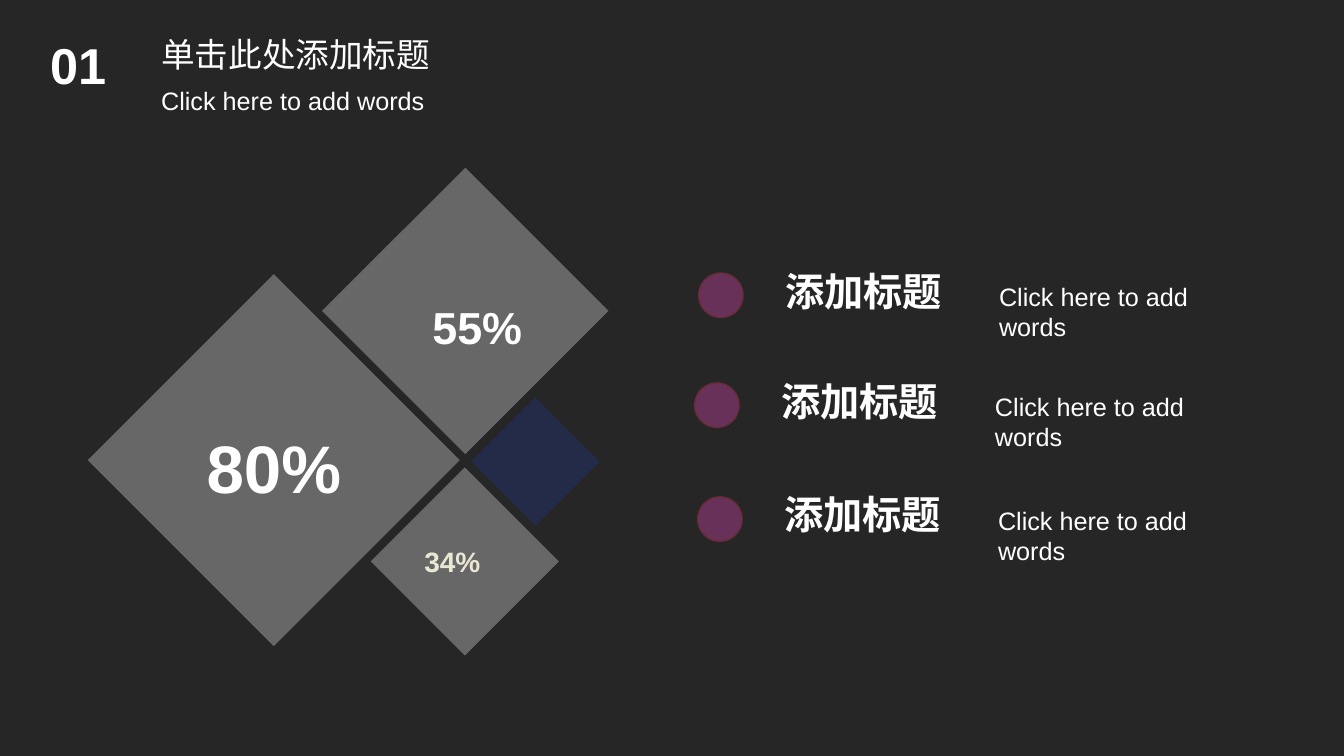
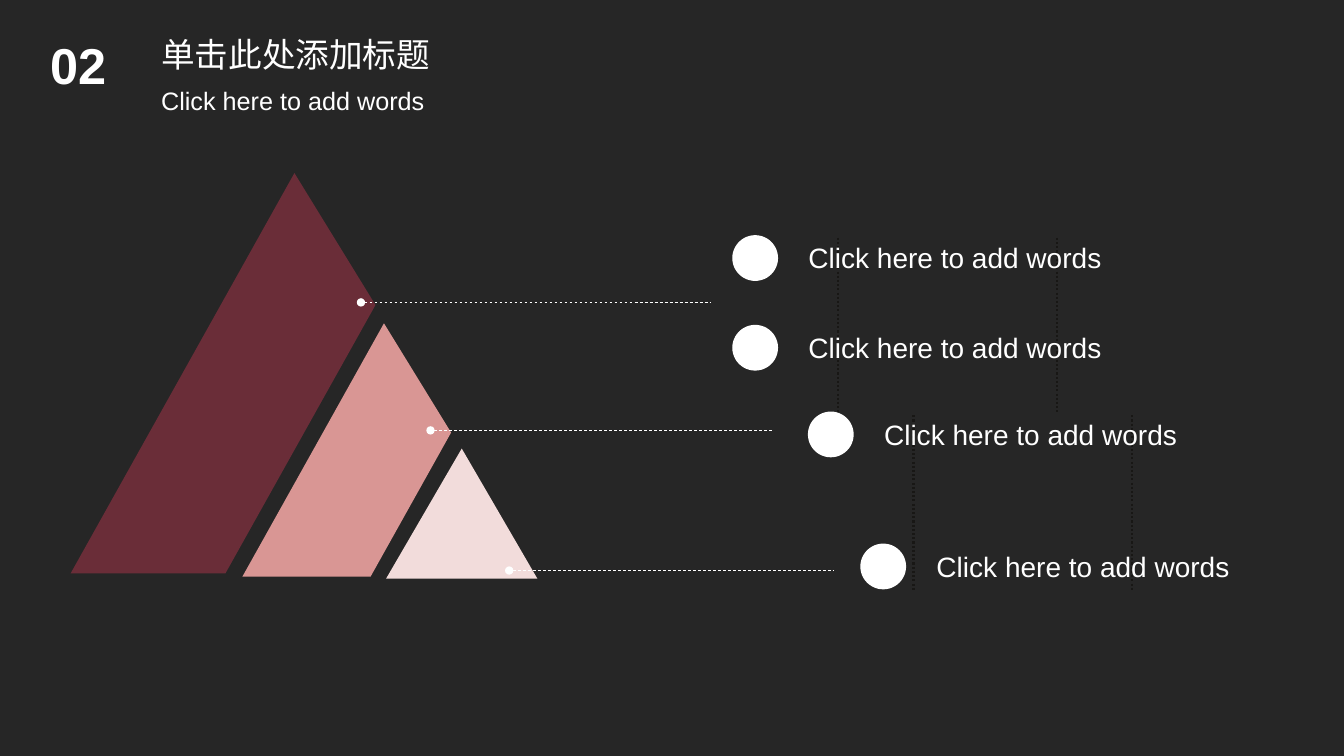
from dataclasses import dataclass

from pptx import Presentation
from pptx.dml.color import RGBColor
from pptx.enum import dml, shapes, text
from pptx.oxml import ns, xmlchemy
from pptx.util import Inches, Pt

TITLE_ONLY = 5
SHAPE = shapes.MSO_SHAPE
DASH = dml.MSO_LINE
WORDS = "Click here to add words"


@dataclass(frozen=True)
class Theme:
    font: str = "Arial"
    background: str = "262626"
    white: str = "FFFFFF"
    cream: str = "EAE7D4"
    navy: str = "1D379B"
    plum: str = "67315A"
    wine: str = "6A2D38"
    rose: str = "D99694"
    blush: str = "F2DCDB"
    guide: str = "181715"
    number: int = 36
    title: int = 24
    body: int = 18
    label: int = 20
    heading: int = 28
    dot: float = 0.44


def add_xml(parent, tag, **attributes):
    child = xmlchemy.OxmlElement(tag)
    for name, value in attributes.items():
        child.set(name, value)
    parent.append(child)


class Deck:
    def __init__(self, theme):
        self.theme = theme
        self.presentation = Presentation()
        self.presentation.slide_width = Inches(13.33)
        self.presentation.slide_height = Inches(7.5)
        self.slide = None
        fill = self.presentation.slide_master.background.fill
        fill.solid()
        fill.fore_color.rgb = RGBColor.from_string(theme.background)

    def start_slide(self, number, title, subtitle):
        layout = self.presentation.slide_layouts[TITLE_ONLY]
        self.slide = self.presentation.slides.add_slide(layout)
        placeholder = self.slide.shapes.title
        placeholder.left, placeholder.top = Inches(1.5), Inches(0.29)
        placeholder.width, placeholder.height = Inches(3.33), Inches(0.5)
        self.set_text(placeholder, title, self.theme.title)
        self.text(0.4, 0.29, 0.94, 0.71, number, self.theme.number, bold=True)
        self.text(1.5, 0.8, 3.97, 0.4, subtitle, self.theme.body)

    def set_text(self, shape, words, size, color=None, bold=False):
        frame = shape.text_frame
        frame.word_wrap = True
        frame.auto_size = text.MSO_AUTO_SIZE.SHAPE_TO_FIT_TEXT
        frame.vertical_anchor = text.MSO_ANCHOR.TOP
        paragraph = frame.paragraphs[0]
        paragraph.alignment = text.PP_ALIGN.LEFT
        run = paragraph.add_run()
        run.text = words
        run.font.name = self.theme.font
        run.font.size = Pt(size)
        run.font.bold = bold
        run.font.color.rgb = RGBColor.from_string(color or self.theme.white)

    def text(self, left, top, width, height, words, size, color=None, bold=False):
        box = self.slide.shapes.add_textbox(
            Inches(left), Inches(top), Inches(width), Inches(height))
        self.set_text(box, words, size, color, bold)

    def shape(self, kind, left, top, width, height, fill,
              outline=None, rotation=0, opacity=None):
        """Add a filled preset shape; opacity is a percentage."""
        shape = self.slide.shapes.add_shape(
            kind, Inches(left), Inches(top), Inches(width), Inches(height))
        shape.shadow.inherit = False
        shape.rotation = rotation
        shape.fill.solid()
        shape.fill.fore_color.rgb = RGBColor.from_string(fill)
        if opacity is not None:
            color = shape._element.spPr.find(".//" + ns.qn("a:srgbClr"))
            add_xml(color, "a:alpha", val=str(opacity * 1000))
        if outline:
            shape.line.color.rgb = RGBColor.from_string(outline)
            shape.line.width = Pt(1)
        else:
            shape.line.fill.background()
        return shape

    def diamond(self, left, top, side, fill):
        self.shape(SHAPE.RECTANGLE, left, top, side, side, fill,
                   rotation=45, opacity=30)

    def dot(self, left, top, fill, outline):
        size = self.theme.dot
        self.shape(SHAPE.OVAL, left, top, size, size, fill, outline)

    def line(self, start, end, color, width, dash, oval_head=False):
        connector = self.slide.shapes.add_connector(
            shapes.MSO_CONNECTOR.STRAIGHT, *map(Inches, start + end))
        connector.line.color.rgb = RGBColor.from_string(color)
        connector.line.width = Pt(width)
        connector.line.dash_style = dash
        properties = connector._element.spPr
        if oval_head:
            add_xml(properties.find(ns.qn("a:ln")), "a:headEnd", type="oval")
        add_xml(properties, "a:effectLst")


def build_diamonds(deck):
    theme = deck.theme
    deck.start_slide("01", "单击此处添加标题", WORDS)

    for left, top, side, fill in (
            (1.41, 3.26, 2.61, theme.white),
            (3.61, 2.08, 2.01, theme.white),
            (3.95, 4.91, 1.32, theme.white),
            (4.86, 4.13, 0.9, theme.navy)):
        deck.diamond(left, top, side, fill)

    for left, top, height, percent, size, color in (
            (1.95, 4.18, 0.91, "80%", 48, theme.white),
            (4.19, 2.92, 0.64, "55%", 32, theme.white),
            (4.11, 5.35, 0.44, "34%", 20, theme.cream)):
        deck.text(left, top, 1.95, height, percent, size, color, bold=True)

    for left, top in ((6.93, 2.71), (6.89, 3.8), (6.92, 4.93)):
        deck.text(left + 0.76, top - 0.11, 2.95, 0.57, "添加标题",
                  theme.heading, bold=True)
        deck.text(left + 2.88, top + 0.03, 2.75, 0.71, WORDS, theme.body)
        deck.dot(left, top, theme.plum, theme.wine)


def build_triangles(deck):
    theme = deck.theme
    deck.start_slide("02", "单击此处添加标题", WORDS)

    deck.shape(SHAPE.ISOSCELES_TRIANGLE, 3.83, 4.45, 1.5, 1.29, theme.blush)
    for left, top, width, height, fill in (
            (2.15, 4.18, 2.88, 1.11, theme.rose),
            (0.12, 3.36, 4.55, 1.34, theme.wine)):
        band = deck.shape(SHAPE.TRAPEZOID, left, top, width, height, fill,
                          rotation=119.2)
        band.adjustments[0] = 0.56

    for start, end, y in ((3.58, 7.04, 3), (4.27, 7.67, 4.27), (5.05, 8.27, 5.66)):
        deck.line((start, y), (end, y), theme.white, 0.5, DASH.DASH, oval_head=True)

    for left, top in ((8.31, 2.36), (9.06, 4.12)):
        for x in (left, left + 2.17):
            deck.line((x, top), (x, top + 1.73), theme.guide, 1.5, DASH.ROUND_DOT)

    for left, top in ((7.27, 2.34), (7.27, 3.23), (8.02, 4.09), (8.54, 5.4)):
        deck.text(left + 0.65, top, 3.33, 0.44, WORDS, theme.label)
        deck.dot(left, top, theme.white, theme.white)


def main():
    deck = Deck(Theme())
    build_diamonds(deck)
    build_triangles(deck)
    deck.presentation.save("out.pptx")


if __name__ == "__main__":
    main()
